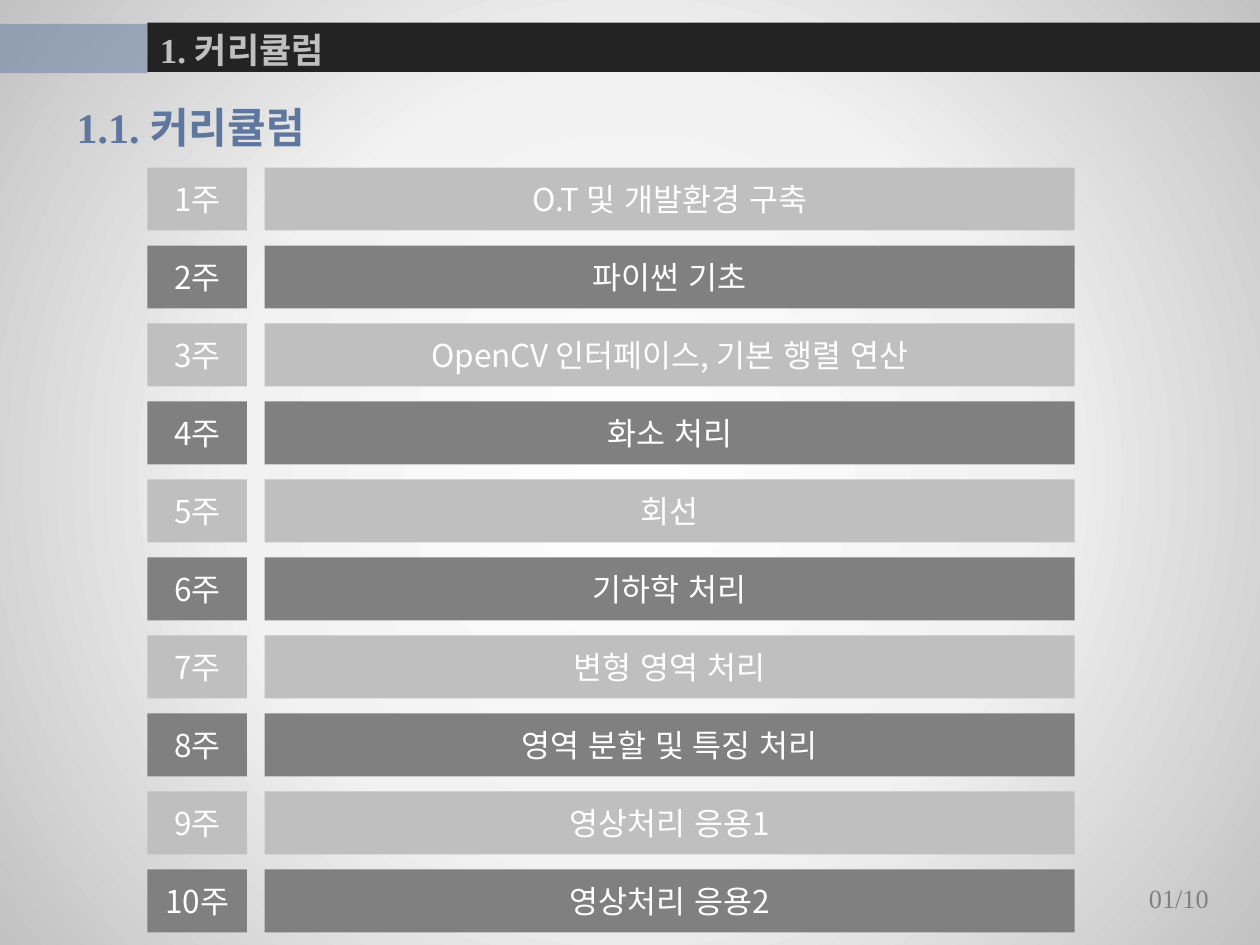
import lxml.etree
import pptx
import pptx.dml.color
import pptx.enum.lang
import pptx.enum.shapes
import pptx.enum.text
import pptx.oxml.ns
import pptx.util

Inches = pptx.util.Inches
Pt = pptx.util.Pt
qn = pptx.oxml.ns.qn
ANCHOR = pptx.enum.text.MSO_ANCHOR
ALIGN = pptx.enum.text.PP_ALIGN

COLORS = {
    "white": "FFFFFF",
    "mist": "F2F2F2",
    "edge": "C2C2C2",
    "bar": "232323",
    "blue": "5F779E",
    "light": "BFBFBF",
    "dark": "808080",
}
SANS = "Noto Sans CJK KR"
SERIF = "Times New Roman"

TOPICS = [
    "O.T 및 개발환경 구축",
    "파이썬 기초",
    "OpenCV 인터페이스, 기본 행렬 연산",
    "화소 처리",
    "회선",
    "기하학 처리",
    "변형 영역 처리",
    "영역 분할 및 특징 처리",
    "영상처리 응용1",
    "영상처리 응용2",
]
FIRST_TOP, LAST_TOP, ROW_HEIGHT = 1.33, 6.9, 0.5
WEEK_LEFT, WEEK_WIDTH = 1.17, 0.79
TOPIC_LEFT, TOPIC_WIDTH = 2.1, 6.43


def rgb(name):
    return pptx.dml.color.RGBColor.from_string(COLORS[name])


def set_background(slide):
    """Radial gradient, white in the middle and grey at the corners."""
    slide.background.fill.gradient()
    gradient = slide.element.find(".//" + qn("a:gradFill"))
    for child in list(gradient):
        gradient.remove(child)
    stops = lxml.etree.SubElement(gradient, qn("a:gsLst"))
    for percent, name in ((0, "white"), (50, "mist"), (100, "edge")):
        stop = lxml.etree.SubElement(stops, qn("a:gs"), pos=str(percent * 1000))
        lxml.etree.SubElement(stop, qn("a:srgbClr"), val=COLORS[name])
    circle = lxml.etree.SubElement(gradient, qn("a:path"), path="circle")
    sides = dict.fromkeys("ltrb", "50000")
    lxml.etree.SubElement(circle, qn("a:fillToRect"), **sides)


def add_span(para, text, size, font, color, bold=False):
    span = para.add_run()
    span.text = text
    span.font.size = Pt(size)
    span.font.bold = bold
    span.font.name = font
    span.font.language_id = pptx.enum.lang.MSO_LANGUAGE_ID.KOREAN
    span.font.color.rgb = rgb(color)
    latin = span.font._element.find(qn("a:latin"))
    latin.addnext(latin.makeelement(qn("a:ea"), {"typeface": SANS}))


def add_block(slide, left, top, width, height, color, opacity=100):
    block = slide.shapes.add_shape(
        pptx.enum.shapes.MSO_SHAPE.RECTANGLE,
        Inches(left), Inches(top), Inches(width), Inches(height))
    block.shadow.inherit = False
    block.fill.solid()
    block.fill.fore_color.rgb = rgb(color)
    block.line.fill.background()
    if opacity < 100:
        shade = block.fill._xPr.find(".//" + qn("a:srgbClr"))
        lxml.etree.SubElement(shade, qn("a:alpha"), val=str(opacity * 1000))
    return block


def add_cell(slide, left, top, width, color, text):
    cell = add_block(slide, left, top, width, ROW_HEIGHT, color)
    cell.text_frame.vertical_anchor = ANCHOR.MIDDLE
    para = cell.text_frame.paragraphs[0]
    para.alignment = ALIGN.CENTER
    add_span(para, text, 18, SANS, "white")


def add_label(slide, left, top, width, height, text, size, color,
              bold=False, anchor=ANCHOR.TOP, space_before=0):
    box = slide.shapes.add_textbox(
        Inches(left), Inches(top), Inches(width), Inches(height))
    frame = box.text_frame
    frame.word_wrap = True
    frame.auto_size = pptx.enum.text.MSO_AUTO_SIZE.SHAPE_TO_FIT_TEXT
    frame.vertical_anchor = anchor
    para = frame.paragraphs[0]
    para.space_before = Pt(space_before)
    add_span(para, text, size, SERIF, color, bold)


def add_curriculum(slide):
    pitch = (LAST_TOP - FIRST_TOP) / (len(TOPICS) - 1)
    for index, topic in enumerate(TOPICS):
        top = FIRST_TOP + index * pitch
        color = "dark" if index % 2 else "light"
        add_cell(slide, WEEK_LEFT, top, WEEK_WIDTH, color, f"{index + 1}주")
        add_cell(slide, TOPIC_LEFT, top, TOPIC_WIDTH, color, topic)


def main():
    deck = pptx.Presentation()
    deck.slide_width, deck.slide_height = Inches(10), Inches(7.5)
    slide = deck.slides.add_slide(deck.slide_layouts[6])
    set_background(slide)
    add_block(slide, 1.17, 0.18, 8.83, 0.39, "bar")
    add_block(slide, 0, 0.19, 1.17, 0.39, "blue", opacity=50)
    add_label(slide, 0.51, 0.76, 3.07, 0.5, "1.1. 커리큘럼", 24, "blue",
              bold=True, space_before=4.8)
    add_label(slide, 9.02, 6.95, 0.79, 0.35, "01/10", 15, "dark",
              space_before=3)
    add_label(slide, 1.17, 0.17, 5.09, 0.44, "1. 커리큘럼", 20, "light",
              bold=True, anchor=ANCHOR.MIDDLE)
    add_curriculum(slide)
    deck.save("out.pptx")


if __name__ == "__main__":
    main()
